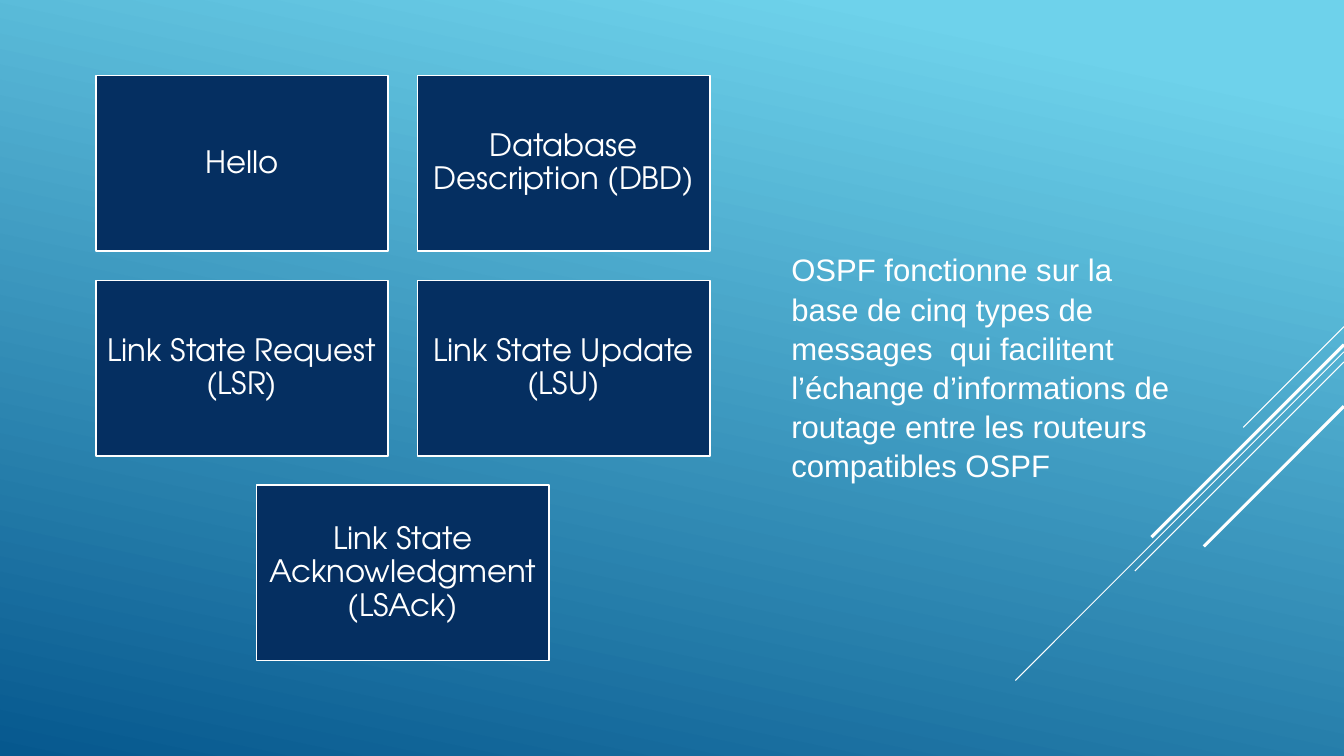
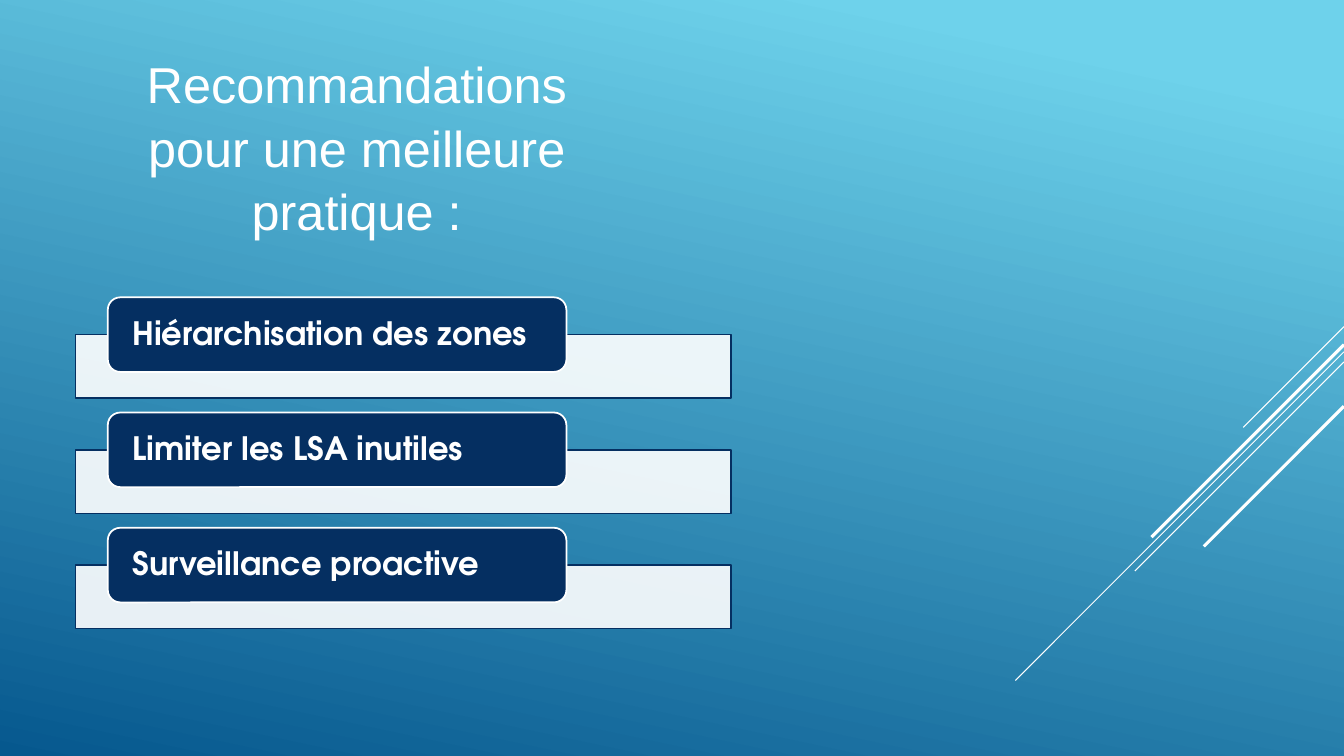
from typing import NamedTuple

from lxml.etree import SubElement
from pptx import Presentation
from pptx.dml.color import RGBColor
from pptx.enum.shapes import MSO_CONNECTOR, MSO_SHAPE
from pptx.enum.text import MSO_ANCHOR, MSO_AUTO_SIZE, PP_ALIGN
from pptx.oxml.ns import qn
from pptx.util import Pt

SLIDE_WIDTH, SLIDE_HEIGHT = 960, 540
WHITE, NAVY, SKY, OCEAN = "FFFFFF", "052F61", "6ED2EB", "06588E"
BODY_FONT, DIAGRAM_FONT = "Arial", "TeX Gyre Adventor"
TITLE_AND_CONTENT, TITLE_ONLY = 1, 5


class Box(NamedTuple):
    left: float
    top: float
    width: float
    height: float


class Ray(NamedTuple):
    """A 45-degree line running down and left from the right slide edge."""
    top: float
    run: float
    weight: float


RAYS = (
    Ray(233.3, 72, 0.75),
    Ray(251.3, 234.7, 0.75),
    Ray(258.5, 149.4, 0.75),
    Ray(246.2, 137.5, 2.25),
    Ray(290.2, 100.1, 2.25),
)

MESSAGES = (
    "Hello",
    "Database Description (DBD)",
    "Link State Request (LSR)",
    "Link State Update (LSU)",
    "Link State Acknowledgment (LSAck)",
)
CARD_COLUMNS, CARD_GAP = 2, 21
FIRST_CARD = Box(68.4, 54, 208.8, 125.3)

RECOMMENDATIONS = (
    "Hiérarchisation des zones",
    "Limiter les LSA inutiles",
    "Surveillance proactive",
)
FIRST_TAG = Box(77, 212.4, 327.6, 53.3)
BAR_LEFT, BAR_WIDTH, BAR_HEIGHT = 54, 468, 45.4
RECOMMENDATION_PITCH = 82.3


def color(value: str) -> RGBColor:
    return RGBColor.from_string(value)


def place(shape, box: Box) -> None:
    shape.left, shape.top, shape.width, shape.height = map(Pt, box)


def write_text(shape, text: str, *, size: float, font: str = BODY_FONT,
               bold: bool = False, align=PP_ALIGN.LEFT,
               anchor=MSO_ANCHOR.MIDDLE, spacing: float = 1.05,
               inset: tuple[float, float] = (7.2, 3.6)) -> None:
    """Fill the shape with one unbulleted white paragraph; inset is (x, y)."""
    frame = shape.text_frame
    frame.word_wrap = True
    frame.auto_size = MSO_AUTO_SIZE.NONE
    frame.vertical_anchor = anchor
    frame.margin_left = frame.margin_right = Pt(inset[0])
    frame.margin_top = frame.margin_bottom = Pt(inset[1])
    paragraph = frame.paragraphs[0]
    properties = paragraph._p.get_or_add_pPr()
    properties.set("marL", "0")
    properties.set("indent", "0")
    SubElement(properties, qn("a:buNone"))
    paragraph.alignment = align
    paragraph.line_spacing = spacing
    paragraph.space_before = Pt(0)
    run = paragraph.add_run()
    run.text = text
    run.font.size = Pt(size)
    run.font.name = font
    run.font.bold = bold
    run.font.color.rgb = color(WHITE)


def add_panel(slide, kind, box: Box, *, fill: str = NAVY, line: str = WHITE,
              opacity: int = 100):
    shape = slide.shapes.add_shape(kind, *map(Pt, box))
    shape.shadow.inherit = False
    shape.fill.solid()
    shape.fill.fore_color.rgb = color(fill)
    if opacity < 100:
        fill_color = shape._element.spPr.find(qn("a:solidFill"))[0]
        SubElement(fill_color, qn("a:alpha"), val=str(opacity * 1000))
    shape.line.color.rgb = color(line)
    shape.line.width = Pt(1.25)
    return shape


def set_background(presentation) -> None:
    fill = presentation.slide_master.background.fill
    fill.gradient()
    fill.gradient_angle = 258
    for stop, position, value in zip(fill.gradient_stops, (0.1, 1), (SKY, OCEAN)):
        stop.position = position
        stop.color.rgb = color(value)


def add_decorated_slide(presentation, layout: int):
    """Add a slide carrying the rays at its right edge."""
    slide = presentation.slides.add_slide(presentation.slide_layouts[layout])
    for ray in RAYS:
        connector = slide.shapes.add_connector(
            MSO_CONNECTOR.STRAIGHT, Pt(SLIDE_WIDTH), Pt(ray.top),
            Pt(SLIDE_WIDTH - ray.run), Pt(ray.top + ray.run))
        connector.line.color.rgb = color(WHITE)
        connector.line.width = Pt(ray.weight)
        SubElement(connector._element.spPr, qn("a:effectLst"))
    return slide


def card_boxes(count: int) -> list[Box]:
    """Lay cards out in rows, centring a last row that is not full."""
    left, top, width, height = FIRST_CARD
    boxes = []
    for index in range(count):
        row, column = divmod(index, CARD_COLUMNS)
        missing = max(0, (row + 1) * CARD_COLUMNS - count)
        boxes.append(Box(left + (column + missing / 2) * (width + CARD_GAP),
                         top + row * (height + CARD_GAP), width, height))
    return boxes


def build_messages_slide(presentation) -> None:
    slide = add_decorated_slide(presentation, TITLE_AND_CONTENT)
    title = slide.shapes.title._element
    title.getparent().remove(title)
    for message, box in zip(MESSAGES, card_boxes(len(MESSAGES))):
        card = add_panel(slide, MSO_SHAPE.RECTANGLE, box)
        write_text(card, message, size=22, font=DIAGRAM_FONT, spacing=0.9,
                   align=PP_ALIGN.CENTER, inset=(6.6, 6.6))
    body = slide.placeholders[1]
    place(body, Box(558, 174.2, 288, 165))
    write_text(body, "OSPF fonctionne sur la base de cinq types de messages  qui "
               "facilitent l’échange d’informations de routage entre les "
               "routeurs compatibles OSPF", size=22.2, anchor=MSO_ANCHOR.TOP)


def build_recommendations_slide(presentation) -> None:
    slide = add_decorated_slide(presentation, TITLE_ONLY)
    title = slide.shapes.title
    place(title, Box(80.6, 67.7, 348.5, 108))
    write_text(title, "Recommandations pour une meilleure pratique :", size=36,
               align=PP_ALIGN.CENTER, anchor=MSO_ANCHOR.BOTTOM)
    for index, recommendation in enumerate(RECOMMENDATIONS):
        tag_box = FIRST_TAG._replace(
            top=FIRST_TAG.top + index * RECOMMENDATION_PITCH)
        bar_top = tag_box.top + tag_box.height / 2
        add_panel(slide, MSO_SHAPE.RECTANGLE,
                  Box(BAR_LEFT, bar_top, BAR_WIDTH, BAR_HEIGHT),
                  fill=WHITE, line=NAVY, opacity=90)
        tag = add_panel(slide, MSO_SHAPE.ROUNDED_RECTANGLE, tag_box)
        write_text(tag, recommendation, size=23, font=DIAGRAM_FONT, bold=True,
                   spacing=0.9, inset=(15, 0))


def main() -> None:
    presentation = Presentation()
    presentation.slide_width = Pt(SLIDE_WIDTH)
    presentation.slide_height = Pt(SLIDE_HEIGHT)
    set_background(presentation)
    build_messages_slide(presentation)
    build_recommendations_slide(presentation)
    presentation.save("out.pptx")


if __name__ == "__main__":
    main()
